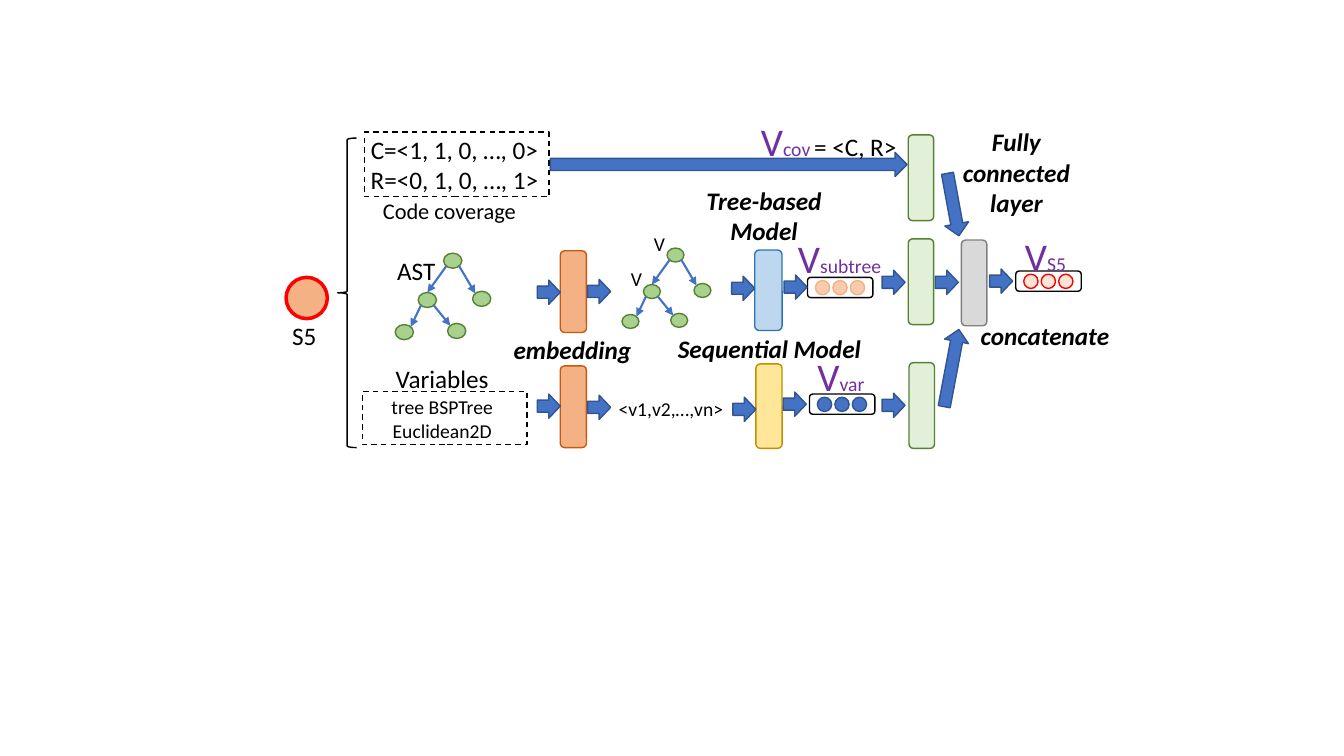
from dataclasses import dataclass, field

from lxml.etree import SubElement
from pptx import Presentation
from pptx.dml.color import RGBColor
from pptx.enum.dml import MSO_LINE
from pptx.enum.shapes import MSO_CONNECTOR, MSO_SHAPE
from pptx.enum.text import MSO_AUTO_SIZE, PP_ALIGN
from pptx.oxml.ns import qn
from pptx.util import Cm, Pt


@dataclass
class Theme:
    # Fill and line of each kind of shape
    paint: dict = field(default_factory=lambda: {
        "plain": (None, "000000"),
        "arrow": ("4472C4", "325491"),
        "node": ("A9D18E", "548235"),
        "embed": ("F4B183", "C55A11"),
        "tree": ("BDD7EE", "2E75B6"),
        "seq": ("FFE699", "BF9000"),
        "dense": ("E2F0D9", "548235"),
        "concat": ("D9D9D9", "808080"),
        "state": ("F4B183", "FF0000"),
        "peach": ("F8CBAD", "F4B183"),
        "rose": ("FBE5D6", "FF0000"),
    })
    # Font values and colour of each kind of text
    type: dict = field(default_factory=lambda: {
        "body": ({"size": Pt(18)}, "000000"),
        "note": ({"size": Pt(16)}, "000000"),
        "small": ({"size": Pt(14)}, "000000"),
        "tiny": ({"size": Pt(12)}, "000000"),
        "strong": ({"size": Pt(18), "bold": True, "italic": True}, "000000"),
        "big": ({"size": Pt(28)}, "7030A0"),
        "sub": ({"size": Pt(14)}, "7030A0"),
    })
    font: str = "Calibri"
    edge: str = "4472C4"


class Board:
    def __init__(self, slide, theme):
        self.shapes = slide.shapes
        self.theme = theme

    def shape(self, kind, x, y, w, h, paint, width=1, turn=0, dash=None):
        item = self.shapes.add_shape(kind, Cm(x), Cm(y), Cm(w), Cm(h))
        item.shadow.inherit = False
        item.rotation = turn
        fill, line = self.theme.paint[paint]
        if fill:
            item.fill.solid()
            item.fill.fore_color.rgb = RGBColor.from_string(fill)
        else:
            item.fill.background()
        item.line.color.rgb = RGBColor.from_string(line)
        for name, value in {"width": Pt(width), "dash_style": dash}.items():
            setattr(item.line, name, value)

    def bar(self, x, y, w, h, paint):
        self.shape(MSO_SHAPE.ROUNDED_RECTANGLE, x, y, w, h, paint)

    def arrow(self, x, y, w=0.58, turn=0):
        self.shape(MSO_SHAPE.RIGHT_ARROW, x, y, w, 0.61, "arrow", turn=turn)

    def frame(self, x, y, w, h):
        self.shape(MSO_SHAPE.RECTANGLE, x, y, w, h, "plain", dash=MSO_LINE.DASH)

    def vector(self, x, y, paint):
        """Draw a rounded box holding three dots."""
        self.bar(x, y, 1.65, 0.51, "plain")
        for i in range(3):
            self.shape(MSO_SHAPE.OVAL, x + 0.2 + 0.44 * i, y + 0.08, 0.36, 0.36, paint)

    def edge(self, start, end):
        ends = [Cm(v) for v in (*start, *end)]
        line = self.shapes.add_connector(MSO_CONNECTOR.STRAIGHT, *ends)
        line.line.width = Pt(1.5)
        line.line.color.rgb = RGBColor.from_string(self.theme.edge)
        SubElement(line.line._get_or_add_ln(), qn("a:tailEnd"), type="triangle")
        SubElement(line._element.spPr, qn("a:effectLst"))

    def tree(self, x, y, scale=1.0):
        """Draw five nodes, the root at x and y, and their four edges."""
        w, h = 0.46 * scale, 0.38 * scale
        steps = [(0, 0), (-0.64, 0.99), (-1.22, 1.8), (0.1, 1.77), (0.73, 0.96)]
        nodes = [(x + dx * scale, y + dy * scale) for dx, dy in steps]
        for left, top in nodes:
            self.shape(MSO_SHAPE.OVAL, left, top, w, h, "node")
        # Parent and share of its width, child and shares of its size
        for a, ax, b, bx, by in [(0, 0.15, 1, 0.5, 0), (1, 0.15, 2, 0.85, 0.15),
                                 (1, 0.85, 3, 0.15, 0.15), (0, 0.85, 4, 0.15, 0.15)]:
            self.edge((nodes[a][0] + ax * w, nodes[a][1] + 0.85 * h),
                      (nodes[b][0] + bx * w, nodes[b][1] + by * h))

    def text(self, x, y, w, h, *paras, align=PP_ALIGN.CENTER):
        """Write paragraphs, each a list of (words, type) runs."""
        frame = self.shapes.add_textbox(Cm(x), Cm(y), Cm(w), Cm(h)).text_frame
        frame.word_wrap = True
        frame.auto_size = MSO_AUTO_SIZE.SHAPE_TO_FIT_TEXT
        for i, runs in enumerate(paras):
            para = frame.add_paragraph() if i else frame.paragraphs[0]
            para.alignment = align
            for words, kind in runs:
                run = para.add_run()
                run.text = words
                look, color = self.theme.type[kind]
                for name, value in {"name": self.theme.font, **look}.items():
                    setattr(run.font, name, value)
                run.font.color.rgb = RGBColor.from_string(color)

    def label(self, x, y, w, h, kind, *lines, align=PP_ALIGN.CENTER):
        self.text(x, y, w, h, *[[(line, kind)] for line in lines], align=align)


def main():
    deck = Presentation()
    deck.slide_width, deck.slide_height = Cm(33.87), Cm(19.05)
    board = Board(deck.slides.add_slide(deck.slide_layouts[6]), Theme())
    left = PP_ALIGN.LEFT

    # Inputs
    board.shape(MSO_SHAPE.LEFT_BRACE, 8.51, 3.48, 0.48, 7.8, "plain")
    board.shape(MSO_SHAPE.OVAL, 7.21, 6.99, 1.04, 1.04, "state", width=2.5)
    board.frame(9.19, 3.33, 4.65, 1.63)
    board.frame(9.14, 9.86, 4.14, 1.35)
    board.tree(11.18, 6.38)
    board.tree(16.81, 6.25, 0.93)

    # Layers
    for x, y, w, h, paint in [
        (14.12, 6.32, 0.66, 2.06, "embed"), (14.12, 9.22, 0.66, 2.06, "embed"),
        (19.02, 6.3, 0.69, 2.03, "tree"), (19.05, 9.17, 0.66, 2.13, "seq"),
        (24.23, 6.05, 0.64, 2.16, "concat"), (22.89, 3.4, 0.64, 2.16, "dense"),
        (22.89, 6.02, 0.64, 2.16, "dense"), (22.91, 9.14, 0.64, 2.16, "dense"),
    ]:
        board.bar(x, y, w, h, paint)
    for x, y, paint in [(20.4, 9.93, "arrow"), (20.35, 6.99, "peach"),
                        (25.6, 6.83, "rose")]:
        board.vector(x, y, paint)

    # Flow
    for x, y in [(13.54, 7.06), (14.81, 7.04), (18.44, 6.96), (19.76, 6.93),
                 (22.23, 6.81), (23.57, 6.81), (24.94, 6.78),
                 (13.54, 9.93), (14.81, 9.96), (18.47, 10.01), (19.74, 9.88),
                 (22.23, 9.91)]:
        board.arrow(x, y)
    board.arrow(13.87, 3.84, 8.99)
    board.arrow(23.22, 4.85, 1.6, 79.6)
    board.arrow(22.99, 8.97, 1.98, 280.7)

    # Labels
    for x, y, w, h, kind, *lines in [
        (9.19, 9.02, 3.91, 1.02, "body", "Variables"),
        (9.73, 6.3, 1.52, 1.02, "body", "AST"),
        (8.71, 3.25, 5.49, 1.8, "body", "C=<1, 1, 0, …, 0>", "R=<0, 1, 0, …, 1>"),
        (8.86, 9.83, 4.57, 1.45, "small", "tree BSPTree Euclidean2D"),
        (16.76, 8.28, 5.26, 1.02, "strong", "Sequential Model"),
        (16.51, 4.55, 5.49, 1.8, "strong", "Tree-based", "Model"),
        (12.52, 8.31, 3.81, 1.02, "strong", "embedding"),
        (23.8, 3.07, 3.63, 2.57, "strong", "Fully connected", "layer"),
        (24.43, 7.95, 3.81, 1.02, "strong", "concatenate"),
    ]:
        board.label(x, y, w, h, kind, *lines)
    for x, y, w, h, kind, words in [
        (9.4, 4.85, 8.59, 0.94, "note", "Code coverage"),
        (7.11, 7.95, 2.06, 1.02, "body", "S5"),
        (16.23, 5.72, 1.02, 0.86, "small", "V"),
        (15.65, 6.6, 0.94, 0.86, "small", "V"),
        (15.34, 9.88, 4.19, 0.86, "small", "<v1,v2,…,vn>"),
    ]:
        board.label(x, y, w, h, kind, words, align=left)
    for x, y, w, sub in [(20.35, 8.76, 2.06, "var"), (19.86, 5.77, 2.72, "subtree"),
                         (25.58, 5.72, 2.06, "S5")]:
        board.text(x, y, w, 1.45, [("V", "big"), (sub, "sub")], align=left)
    board.text(18.42, 2.84, 4.93, 1.45, [("V", "big"), ("cov", "sub"),
                                         (" ", "tiny"), ("= <C, R>", "body")])

    deck.save("out.pptx")


if __name__ == "__main__":
    main()
